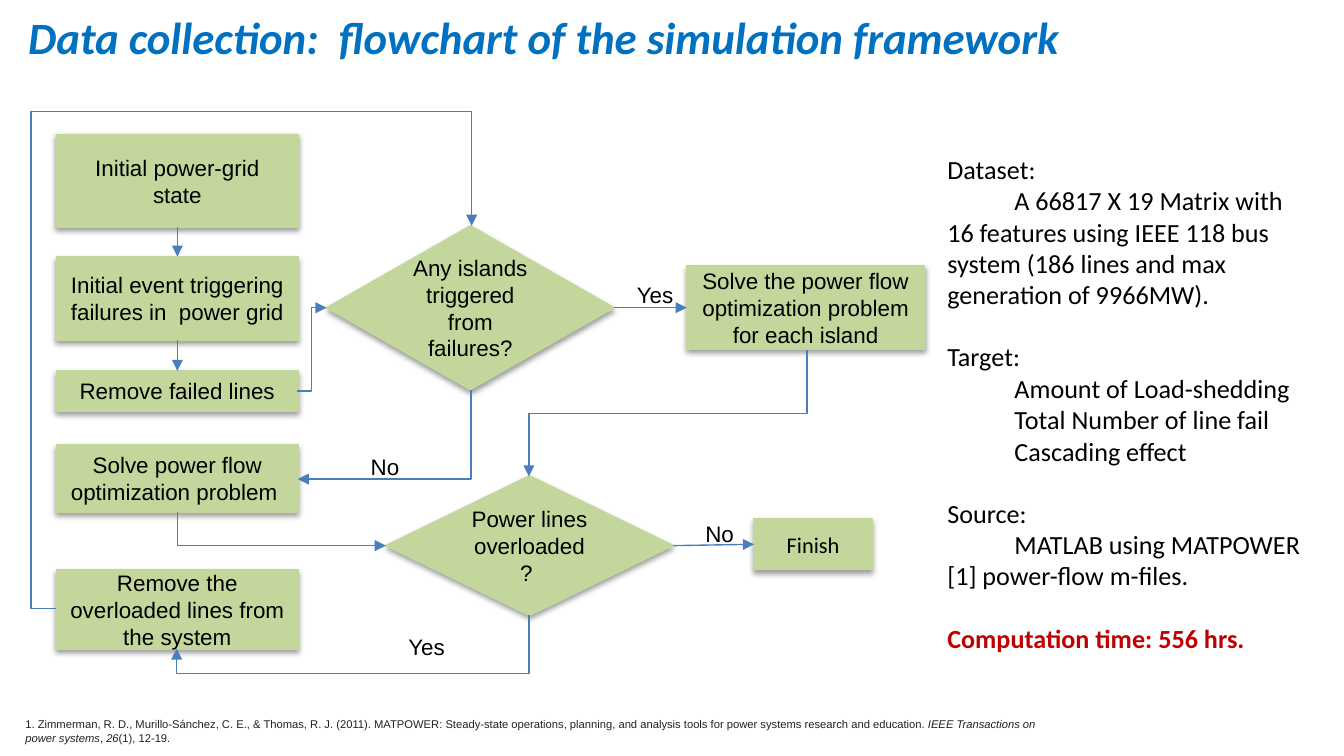
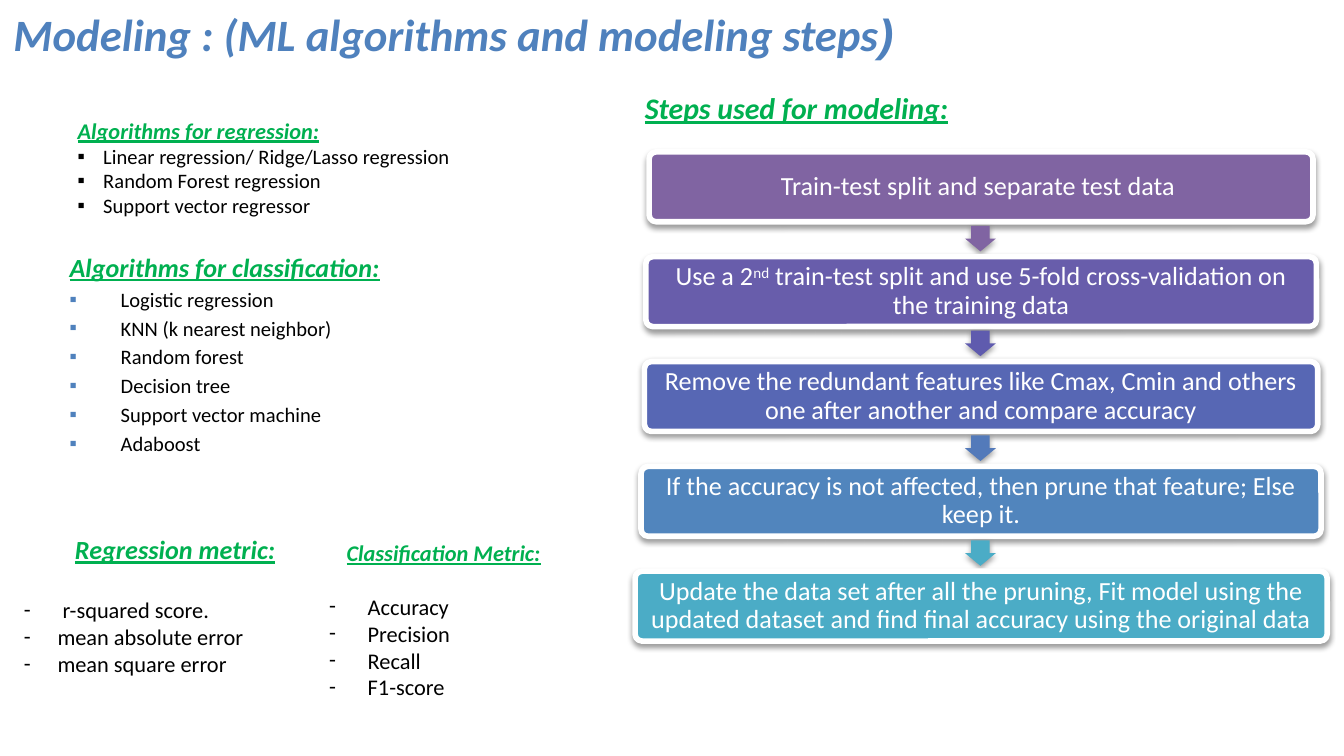
"""Build two slides on simulating power-grid failures and modeling them."""
from lxml.etree import SubElement
from pptx import Presentation
from pptx.dml.color import RGBColor
from pptx.enum.shapes import MSO_CONNECTOR as LINK, MSO_SHAPE as SHAPE
from pptx.enum.text import MSO_ANCHOR as ANCHOR, MSO_AUTO_SIZE as AUTO, PP_ALIGN as ALIGN
from pptx.oxml.ns import qn
from pptx.util import Inches, Pt

BLACK = RGBColor(0x00, 0x00, 0x00)
WHITE = RGBColor(0xFF, 0xFF, 0xFF)
BRIGHT_BLUE = RGBColor(0x00, 0x70, 0xC0)
SOFT_BLUE = RGBColor(0x4F, 0x81, 0xBD)
ARROW_BLUE = RGBColor(0x4B, 0x7E, 0xBC)
LEAF = RGBColor(0xC3, 0xD6, 0x9B)
GREEN = RGBColor(0x00, 0xB0, 0x50)
RED = RGBColor(0xC0, 0x00, 0x00)
INK = RGBColor(0x22, 0x22, 0x22)
STEP_FILLS = [RGBColor.from_string(c) for c in ("8064A2", "685DAB", "5767B4", "5185BD", "4BACC6")]
ARROW_FILLS = [RGBColor.from_string(c) for c in ("8064A2", "5F5BAE", "537ABA", "4BACC6")]


def add_run(paragraph, text, size, color=BLACK, font="Calibri", bold=False, italic=False, underline=False):
    """Append one formatted run."""
    run = paragraph.add_run()
    run.text = text
    run.font.name = font
    run.font.size = Pt(size)
    run.font.color.rgb = color
    run.font.bold = bold
    run.font.italic = italic
    run.font.underline = underline
    return run


def add_block(slide, preset, box, fill, outline=None, weight=0.75):
    """Add a filled shape with a soft shadow below it."""
    block = slide.shapes.add_shape(preset, *map(Inches, box))
    block.fill.solid()
    block.fill.fore_color.rgb = fill
    if outline is None:
        block.line.fill.background()
    else:
        block.line.color.rgb = outline
        block.line.width = Pt(weight)
    block.shadow.inherit = False
    effects = block._element.spPr.find(qn("a:effectLst"))
    shadow = SubElement(effects, qn("a:outerShdw"), blurRad=str(Pt(3.1)), dist=str(Pt(1.6)),
                        dir="5400000", rotWithShape="0")
    tint = SubElement(shadow, qn("a:srgbClr"), val="000000")
    SubElement(tint, qn("a:alpha"), val="38000")
    block.text_frame.word_wrap = True
    block.text_frame.vertical_anchor = ANCHOR.MIDDLE
    block.text_frame.paragraphs[0].alignment = ALIGN.CENTER
    return block


prs = Presentation()
prs.slide_width = Inches(10)
prs.slide_height = Inches(10) * 9 // 16

slides = []
for box, color, pieces in [
    ((0.11, 0.02, 10.06, 0.5), BRIGHT_BLUE,
     [("Data collection:  flowchart of the simulation framework", "Calibri")]),
    ((0, 0, 8.32, 0.63), SOFT_BLUE,
     [("Modeling : (ML algorithms and modeling steps", "Calibri"), (")", "Arial")]),
]:
    slide = prs.slides.add_slide(prs.slide_layouts[5])
    title = slide.shapes.title
    title.left, title.top, title.width, title.height = map(Inches, box)
    title.text_frame.auto_size = AUTO.NONE
    title.text_frame.vertical_anchor = ANCHOR.TOP
    title.text_frame.paragraphs[0].alignment = ALIGN.LEFT
    for text, font in pieces:
        add_run(title.text_frame.paragraphs[0], text, 24, color, font, bold=True, italic=True)
    slides.append(slide)
flow_slide, model_slide = slides

COLUMN, COLUMN_WIDTH = 0.42, 1.8
nodes = {}
for key, preset, box, text, font in [
    ("initial", SHAPE.RECTANGLE, (COLUMN, 1, COLUMN_WIDTH, 0.69), "Initial power-grid state", "Arial"),
    ("event", SHAPE.RECTANGLE, (COLUMN, 1.91, COLUMN_WIDTH, 0.62),
     "Initial event triggering failures in  power grid", "Arial"),
    ("failed", SHAPE.RECTANGLE, (COLUMN, 2.76, COLUMN_WIDTH, 0.3), "Remove failed lines", "Arial"),
    ("solve", SHAPE.RECTANGLE, (COLUMN, 3.31, COLUMN_WIDTH, 0.5),
     "Solve power flow optimization problem ", "Arial"),
    ("remove", SHAPE.RECTANGLE, (COLUMN, 4.24, COLUMN_WIDTH, 0.59),
     "Remove the overloaded lines from the system", "Arial"),
    ("islands", SHAPE.DIAMOND, (2.43, 1.68, 2.14, 1.22), "Any islands triggered from failures?", "Arial"),
    ("each", SHAPE.RECTANGLE, (5.11, 1.98, 1.77, 0.62),
     "Solve the power flow optimization problem for each island", "Arial"),
    ("overloaded", SHAPE.DIAMOND, (2.87, 3.54, 2.14, 1.04), "Power lines overloaded? ", "Arial"),
    ("finish", SHAPE.RECTANGLE, (5.61, 3.86, 0.88, 0.38), "Finish", "Calibri"),
]:
    nodes[key] = add_block(flow_slide, preset, box, LEAF, LEAF)
    add_run(nodes[key].text_frame.paragraphs[0], text, 12, font=font)

TOP, LEFT, BOTTOM, RIGHT = range(4)
for start, start_side, end, end_side, bend in [
    ("initial", BOTTOM, "event", TOP, None),
    ("event", BOTTOM, "failed", TOP, None),
    ("islands", RIGHT, "each", LEFT, None),
    ("overloaded", RIGHT, "finish", LEFT, None),
    ("failed", RIGHT, "islands", LEFT, ("bentConnector3", (2.21, 2.29, 0.22, 0.62), 0, "flipV", [])),
    ("islands", BOTTOM, "solve", RIGHT, ("bentConnector2", (2.53, 2.59, 0.66, 1.29), 90, "", [])),
    ("each", BOTTOM, "overloaded", TOP, ("bentConnector3", (4.5, 2.04, 0.94, 2.07), 90, "", [])),
    ("solve", BOTTOM, "overloaded", LEFT, ("bentConnector2", (1.97, 3.16, 0.25, 1.55), 270, "flipH", [])),
    ("overloaded", BOTTOM, "remove", BOTTOM, ("bentConnector3", (2.5, 3.39, 0.25, 2.62), 90, "", [175400])),
    ("remove", LEFT, "islands", TOP,
     ("bentConnector4", (0.42, 1.68, 3.09, 2.85), 180, "flipH", [-6100, 129800])),
]:
    arrow = flow_slide.shapes.add_connector(LINK.ELBOW if bend else LINK.STRAIGHT, 0, 0, 0, 0)
    arrow.begin_connect(nodes[start], start_side)
    arrow.end_connect(nodes[end], end_side)
    arrow.line.color.rgb = ARROW_BLUE
    arrow.line.width = Pt(0.75)
    properties = arrow._element.spPr
    SubElement(properties.find(qn("a:ln")), qn("a:tailEnd"), type="triangle")
    SubElement(properties, qn("a:effectLst"))
    if bend:
        preset, box, turn, flip, adjusts = bend
        arrow.left, arrow.top, arrow.width, arrow.height = map(Inches, box)
        frame = properties.find(qn("a:xfrm"))
        frame.set("rot", str(turn * 60000))
        for side in ("flipH", "flipV"):
            frame.set(side, "1" if side == flip else "0")
        geometry = properties.find(qn("a:prstGeom"))
        geometry.set("prst", preset)
        guides = geometry.find(qn("a:avLst"))
        for number, value in enumerate(adjusts, 1):
            SubElement(guides, qn("a:gd"), name=f"adj{number}", fmla=f"val {value}")

for left, top, answer in [(2.94, 4.66, "Yes"), (5.15, 3.82, "No"), (4.64, 2.04, "Yes"), (2.66, 3.32, "No")]:
    label = flow_slide.shapes.add_textbox(Inches(left), Inches(top), Inches(0.5), Inches(0.3))
    label.text_frame.word_wrap = True
    add_run(label.text_frame.paragraphs[0], answer, 12, font="Arial")

facts = flow_slide.shapes.add_textbox(Inches(6.95), Inches(1.09), Inches(2.84), Inches(4.15)).text_frame
facts.word_wrap = True
for number, (heading, details) in enumerate([
    ("Dataset:", ["A 66817 X 19 Matrix with 16 features using IEEE 118 bus system "
                  "(186 lines and max generation of 9966MW)."]),
    ("Target:", ["Amount of Load-shedding", "Total Number of line fail", "Cascading effect"]),
    ("Source:", ["MATLAB using MATPOWER [1] power-flow m-files."]),
    ("Computation time: 556 hrs.", []),
]):
    line = facts.add_paragraph() if number else facts.paragraphs[0]
    line.space_before = Pt(16.5 if number else 0)
    add_run(line, heading, 14, BLACK if details else RED, bold=not details)
    for detail in details:
        line = facts.add_paragraph()
        line._p.get_or_add_pPr().set("indent", str(Inches(0.5)))
        add_run(line, detail, 14)

reference = flow_slide.shapes.add_textbox(Inches(0.09), Inches(5.29), Inches(7.95), Inches(0.3)).text_frame
reference.word_wrap = True
for text, italic in [
    ("1. Zimmerman, R. D., Murillo-Sánchez, C. E., & Thomas, R. J. (2011). MATPOWER: Steady-state operations, "
     "planning, and analysis tools for power systems research and education. ", False),
    ("IEEE Transactions on power systems", True), (", ", False), ("26", True), ("(1), 12-19.", False),
]:
    add_run(reference.paragraphs[0], text, 6, INK, "Arial", italic=italic)

for box, heading, size, shift, items, item_size, margin, hang, bullet, bullet_color, first_gap, gap in [
    ((4.7, 0.62, 2.87, 0.37), "Steps used for modeling:", 16, 0, [], 0, 0, 0, "", BLACK, 0, 0),
    ((0.48, 0.82, 3.16, 0.86), "Algorithms for regression:", 12, 0,
     ["Linear regression/ Ridge/Lasso regression", "Random Forest regression", "Support vector regressor"],
     11, 0.19, 0.19, "▪", BLACK, 0, 0),
    ((0.42, 1.82, 3.73, 1.99), "Algorithms for classification:", 14, 0,
     ["Logistic regression", "KNN (k nearest neighbor)", "Random forest", "Decision tree",
      "Support vector machine", "Adaboost"],
     11, 0.38, 0.38, "▪", SOFT_BLUE, 2.2, 2.2),
    ((0.08, 3.92, 2.27, 1.18), "Regression metric:", 14, 0.38,
     [" r-squared score.", "mean absolute error", "mean square error"], 12, 0.25, 0.25, "-", BLACK, 17, 0),
    ((2.1, 3.96, 2.05, 1.31), "Classification Metric:", 12, 0.38,
     [" Accuracy", " Precision", " Recall", " F1-score"], 12, 0.5, 0.25, "-", BLACK, 14.6, 0),
]:
    topic = model_slide.shapes.add_textbox(*map(Inches, box)).text_frame
    topic.word_wrap = True
    line = topic.paragraphs[0]
    line._p.get_or_add_pPr().set("marL", str(Inches(shift)))
    add_run(line, heading, size, GREEN, bold=True, italic=True, underline=True)
    for number, item in enumerate(items):
        line = topic.add_paragraph()
        line.space_before = Pt(gap if number else first_gap)
        layout = line._p.get_or_add_pPr()
        layout.set("marL", str(Inches(margin)))
        layout.set("indent", str(-Inches(hang)))
        SubElement(SubElement(layout, qn("a:buClr")), qn("a:srgbClr"), val=str(bullet_color))
        SubElement(layout, qn("a:buFont"), typeface="Calibri")
        SubElement(layout, qn("a:buChar"), char=bullet)
        add_run(line, item, item_size)

CENTER, FIRST_TOP, PITCH = 7.3, 1.13, 0.78
for number, (width, pieces) in enumerate([
    (4.94, ["Train-test split and separate test data "]),
    (4.99, ["Use a 2", "nd", " train-test split and use 5-fold cross-validation on the training data"]),
    (5.01, ["Remove the redundant features like Cmax, Cmin and others one after another and compare accuracy"]),
    (5.06, ["If the accuracy is not affected, then prune that feature; Else keep it."]),
    (5.15, ["Update the data set after all the pruning, Fit model using the updated dataset "
            "and find final accuracy using the original data"]),
]):
    top = FIRST_TOP + number * PITCH
    step = add_block(model_slide, SHAPE.ROUNDED_RECTANGLE, (CENTER - width / 2, top, width, 0.52),
                     STEP_FILLS[number], WHITE, 3)
    step.adjustments[0] = 0.1
    words = step.text_frame
    words.margin_left = words.margin_right = words.margin_top = words.margin_bottom = Inches(0.06)
    words.paragraphs[0].line_spacing = 0.9
    for piece in pieces:
        run = add_run(words.paragraphs[0], piece, 14, WHITE)
        if piece == "nd":
            run.font._element.set("baseline", "30000")
    if number < len(ARROW_FILLS):
        pointer = add_block(model_slide, SHAPE.RIGHT_ARROW, (CENTER - 0.1, top + 0.53, 0.19, 0.23),
                            ARROW_FILLS[number])
        pointer.rotation = 90
        pointer.adjustments[0] = 0.6

prs.save("out.pptx")
